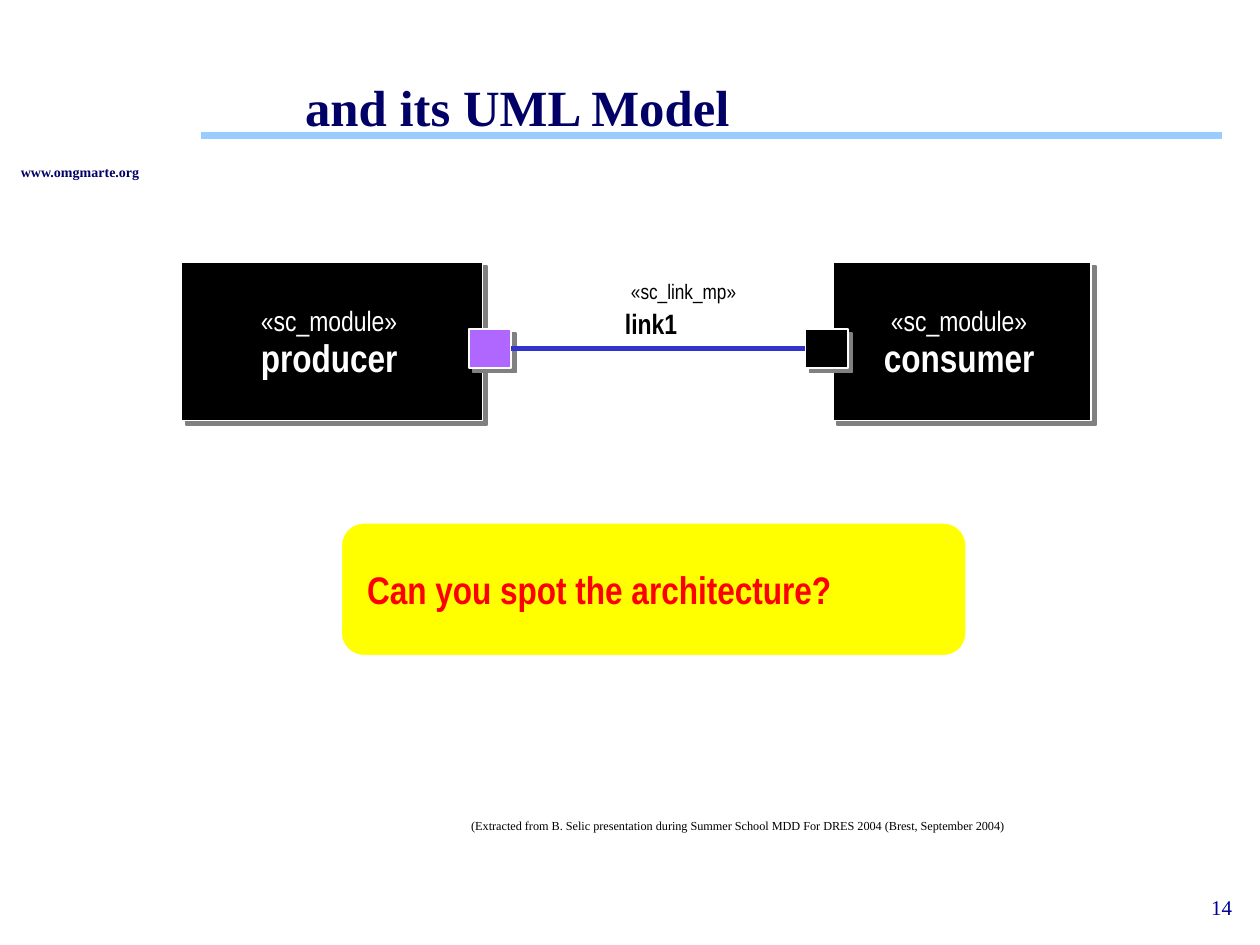
from dataclasses import dataclass

from lxml.etree import SubElement
from pptx import Presentation
from pptx.dml.color import RGBColor
from pptx.enum.shapes import MSO_CONNECTOR, MSO_SHAPE
from pptx.enum.text import MSO_ANCHOR, MSO_AUTO_SIZE, PP_ALIGN
from pptx.oxml.ns import qn
from pptx.util import Cm, Pt


@dataclass(frozen=True)
class Theme:
    serif: str = "Times New Roman"
    narrow: str = "Arial Narrow"
    navy: str = "000066"
    page_blue: str = "000099"
    rule_blue: str = "99CCFF"
    link_blue: str = "3333CC"
    black: str = "000000"
    white: str = "FFFFFF"
    shade: str = "808080"
    violet: str = "AF67FF"
    yellow: str = "FFFF00"
    red: str = "FF0000"
    title_size: float = 29
    name_size: float = 22
    stereotype_size: float = 16
    small_size: float = 12
    site_size: float = 8
    source_size: float = 7


class SlideBuilder:
    shade_offset = 0.09

    def __init__(self, slide, theme):
        self.slide = slide
        self.theme = theme

    def style(self, paragraph, font, size, color, bold=False, align=PP_ALIGN.LEFT):
        paragraph.alignment = align
        paragraph.font.name = font
        paragraph.font.size = Pt(size)
        paragraph.font.bold = bold
        paragraph.font.color.rgb = RGBColor.from_string(color)

    def frame(self, shape, left=0, right=0):
        frame = shape.text_frame
        frame.auto_size = MSO_AUTO_SIZE.NONE
        frame.word_wrap = True
        frame.vertical_anchor = MSO_ANCHOR.MIDDLE
        frame.margin_left, frame.margin_right = Cm(left), Cm(right)
        frame.margin_top = frame.margin_bottom = 0
        return frame

    def title(self, text, left, middle, width, height=1.4):
        title = self.slide.shapes.title
        title.left, title.top = Cm(left), Cm(middle - height / 2)
        title.width, title.height = Cm(width), Cm(height)
        frame = self.frame(title)
        frame.text = text
        self.style(frame.paragraphs[0], self.theme.serif, self.theme.title_size,
                   self.theme.navy, bold=True)

    def label(self, text, left, middle, width, font, size, color,
              bold=False, align=PP_ALIGN.LEFT, height=0.8):
        label = self.slide.shapes.add_textbox(
            Cm(left), Cm(middle - height / 2), Cm(width), Cm(height))
        frame = self.frame(label)
        frame.text = text
        self.style(frame.paragraphs[0], font, size, color, bold, align)

    def line(self, start, end, y, color, width):
        line = self.slide.shapes.add_connector(
            MSO_CONNECTOR.STRAIGHT, Cm(start), Cm(y), Cm(end), Cm(y))
        line.line.color.rgb = RGBColor.from_string(color)
        line.line.width = Pt(width)
        SubElement(line._element.spPr, qn("a:effectLst"))

    def block(self, left, top, width, height, fill, outline, kind=MSO_SHAPE.RECTANGLE):
        block = self.slide.shapes.add_shape(
            kind, Cm(left), Cm(top), Cm(width), Cm(height))
        block.shadow.inherit = False
        block.fill.solid()
        block.fill.fore_color.rgb = RGBColor.from_string(fill)
        block.line.color.rgb = RGBColor.from_string(outline)
        block.line.width = Pt(1)
        return block

    def raised_block(self, left, top, width, height, fill):
        offset = self.shade_offset
        self.block(left + offset, top + offset, width, height,
                   self.theme.shade, self.theme.shade)
        return self.block(left, top, width, height, fill, self.theme.white)

    def module(self, name, left, top, width, height):
        theme = self.theme
        module = self.raised_block(left, top, width, height, theme.black)
        frame = self.frame(module, right=0.12)
        frame.text = f"«sc_module»\n{name}"
        stereotype, heading = frame.paragraphs
        self.style(stereotype, theme.narrow, theme.stereotype_size, theme.white,
                   align=PP_ALIGN.CENTER)
        self.style(heading, theme.narrow, theme.name_size, theme.white,
                   bold=True, align=PP_ALIGN.CENTER)
        stereotype.line_spacing, heading.line_spacing = Pt(20), Pt(25)

    def callout(self, text, left, top, width, height):
        theme = self.theme
        callout = self.block(left, top, width, height, theme.yellow, theme.white,
                             MSO_SHAPE.ROUNDED_RECTANGLE)
        callout.adjustments[0] = 0.17
        frame = self.frame(callout, left=0.39)
        frame.text = text
        self.style(frame.paragraphs[0], theme.narrow, theme.name_size, theme.red, bold=True)


def main():
    theme = Theme()
    presentation = Presentation()
    presentation.slide_width, presentation.slide_height = Cm(25.4), Cm(19.05)
    slide = presentation.slides.add_slide(presentation.slide_layouts[5])
    builder = SlideBuilder(slide, theme)

    builder.title("and its UML Model", 6.15, 2.15, 12)
    builder.line(4.05, 24.64, 2.74, theme.rule_blue, 4)
    builder.label("www.omgmarte.org", 0.42, 3.47, 4,
                  theme.serif, theme.site_size, theme.navy, bold=True)

    module_top, module_height = 5.28, 3.2
    for name, left, width in (("consumer", 16.79, 5.21), ("producer", 3.66, 6.07)):
        builder.module(name, left, module_top, width, module_height)

    port_top, port_width, port_height = 6.63, 0.86, 0.79
    producer_port, consumer_port = 9.45, 16.23
    for left, fill in ((consumer_port, theme.black), (producer_port, theme.violet)):
        builder.raised_block(left, port_top, port_width, port_height, fill)
    builder.line(producer_port + port_width, consumer_port,
                 port_top + port_height / 2, theme.link_blue, 3)

    builder.label("«sc_link_mp»", 12.72, 5.86, 3,
                  theme.narrow, theme.small_size, theme.black)
    builder.label("link1", 12.6, 6.52, 2,
                  theme.narrow, theme.stereotype_size, theme.black, bold=True)

    builder.callout("Can you spot the architecture?", 6.88, 10.54, 12.6, 2.68)
    builder.label("(Extracted from B. Selic presentation during Summer School MDD "
                  "For DRES 2004 (Brest, September 2004)",
                  9.5, 16.65, 12, theme.serif, theme.source_size, theme.black)
    builder.label("14", 23.84, 18.28, 1, theme.serif, theme.small_size,
                  theme.page_blue, align=PP_ALIGN.RIGHT)

    presentation.save("out.pptx")


if __name__ == "__main__":
    main()
